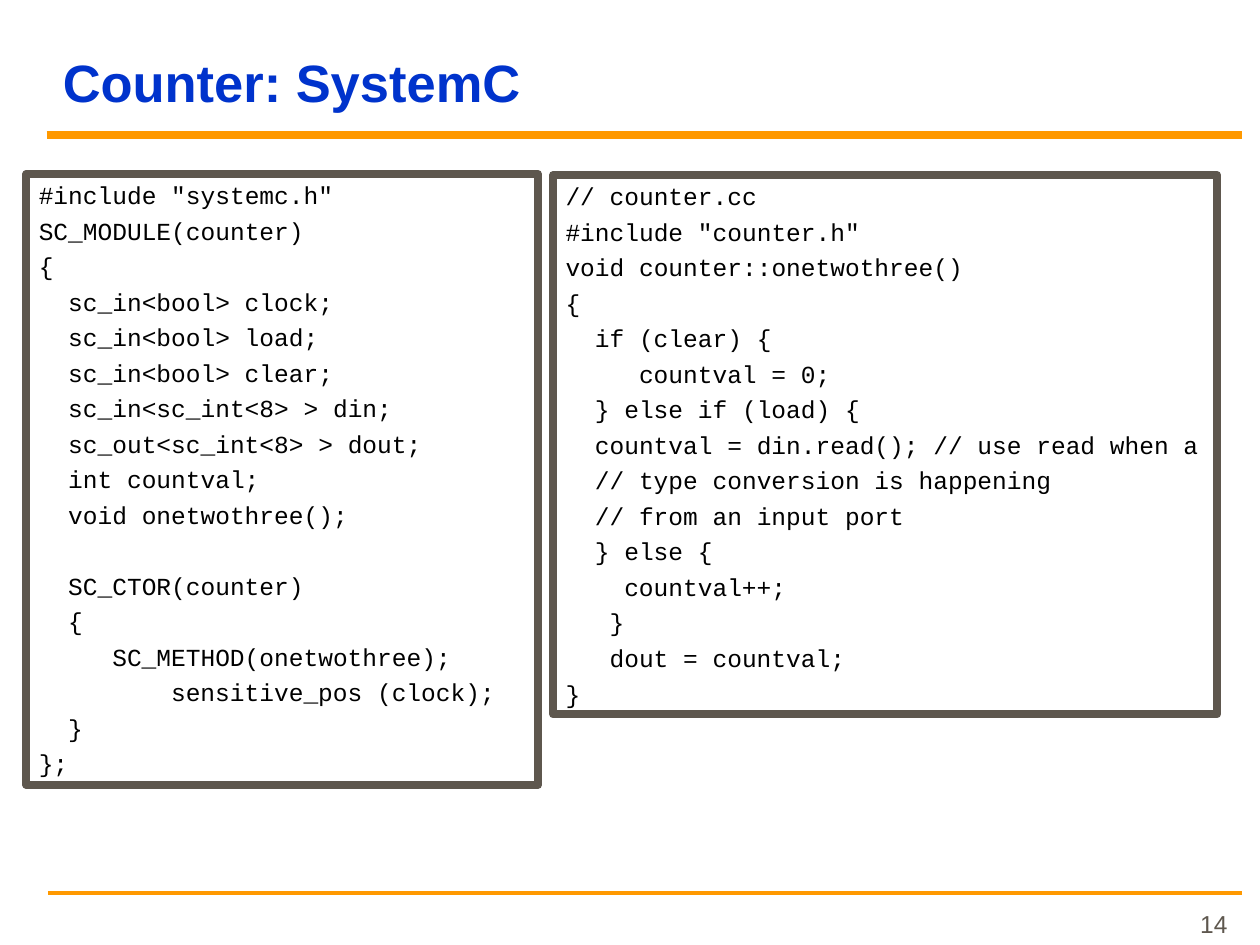
"""Build the SystemC counter slide with its two code listings."""
from pptx import Presentation
from pptx.dml.color import RGBColor
from pptx.enum.shapes import MSO_CONNECTOR, MSO_SHAPE
from pptx.enum.text import MSO_ANCHOR, PP_ALIGN
from pptx.util import Inches, Pt
from lxml.etree import SubElement
from pptx.oxml.ns import qn

deck = Presentation()
deck.slide_width, deck.slide_height = Inches(10), Inches(7.5)
slide = deck.slides.add_slide(deck.slide_layouts[6])
wide, high = deck.slide_width / 100, deck.slide_height / 100


def hue(code):
    """Turn a hex string into a colour."""
    return RGBColor.from_string(code)


def put(text, box, font="Arial", size=14, color="000000", bold=False,
        align=PP_ALIGN.LEFT, anchor=MSO_ANCHOR.BOTTOM, edge=None, lead=None, gap=0):
    """Place text in a box given in percent of the slide, with code indents as margins."""
    x, y, w, h = box
    shape = slide.shapes.add_shape(
        MSO_SHAPE.RECTANGLE, int(x * wide), int(y * high), int(w * wide), int(h * high)
    ) if edge else slide.shapes.add_textbox(
        int(x * wide), int(y * high), int(w * wide), int(h * high))
    if edge:
        shape.shadow.inherit = False
        shape.fill.background()
        shape.line.color.rgb = hue(edge)
        shape.line.width = Pt(4.5)
    frame = shape.text_frame
    frame.word_wrap = True
    frame.vertical_anchor = anchor
    above = gap
    for line in text.strip().split("\n"):
        if not line:
            above += lead + gap
            continue
        par = frame.paragraphs[0] if not frame.text else frame.add_paragraph()
        par.alignment = align
        par.space_before = Pt(above)
        above = gap
        if lead:
            par.line_spacing = Pt(lead)
        bare = line.lstrip()
        cols = len(line) - len(bare)
        if cols:
            props = par._p.get_or_add_pPr()
            props.set("marL", str(int(Pt(cols * size * 0.6))))
            props.set("indent", "0")
        run = par.add_run()
        run.text = bare
        run.font.name, run.font.size, run.font.bold = font, Pt(size), bold
        run.font.color.rgb = hue(color)


for left, top, weight in ((3.8, 94.53, 2.25), (3.7, 14.27, 4.5)):
    rule = slide.shapes.add_connector(
        MSO_CONNECTOR.STRAIGHT, int(left * wide), int(top * high),
        int(98.6 * wide), int(top * high))
    rule.line.color.rgb = hue("FF9900")
    rule.line.width = Pt(weight)
    SubElement(rule._element.spPr, qn("a:effectLst"))

put("Counter: SystemC", (4, 2.4, 94.6, 10.27), size=30, color="0033CC", bold=True)

head = """
#include "systemc.h"
SC_MODULE(counter)
{
  sc_in<bool> clock;
  sc_in<bool> load;
  sc_in<bool> clear;
  sc_in<sc_int<8> > din;
  sc_out<sc_int<8> > dout;
  int countval;
  void onetwothree();

  SC_CTOR(counter)
  {
     SC_METHOD(onetwothree);
         sensitive_pos (clock);
  }
};
"""
body = """
// counter.cc
#include "counter.h"
void counter::onetwothree()
{
  if (clear) {
     countval = 0;
  } else if (load) {
  countval = din.read(); // use read when a
  // type conversion is happening
  // from an input port
  } else {
    countval++;
   }
   dout = countval;
}
"""
for code, box in ((head, (2.1, 18.4, 40.6, 64.67)), (body, (43.9, 18.53, 52.7, 57.07))):
    put(code, box, font="Courier New", anchor=MSO_ANCHOR.TOP,
        edge="5E574E", lead=16.8, gap=3.5)

put("14", (74.5, 94.8, 23.9, 5.2), color="5E574E", align=PP_ALIGN.RIGHT)

deck.save("out.pptx")
